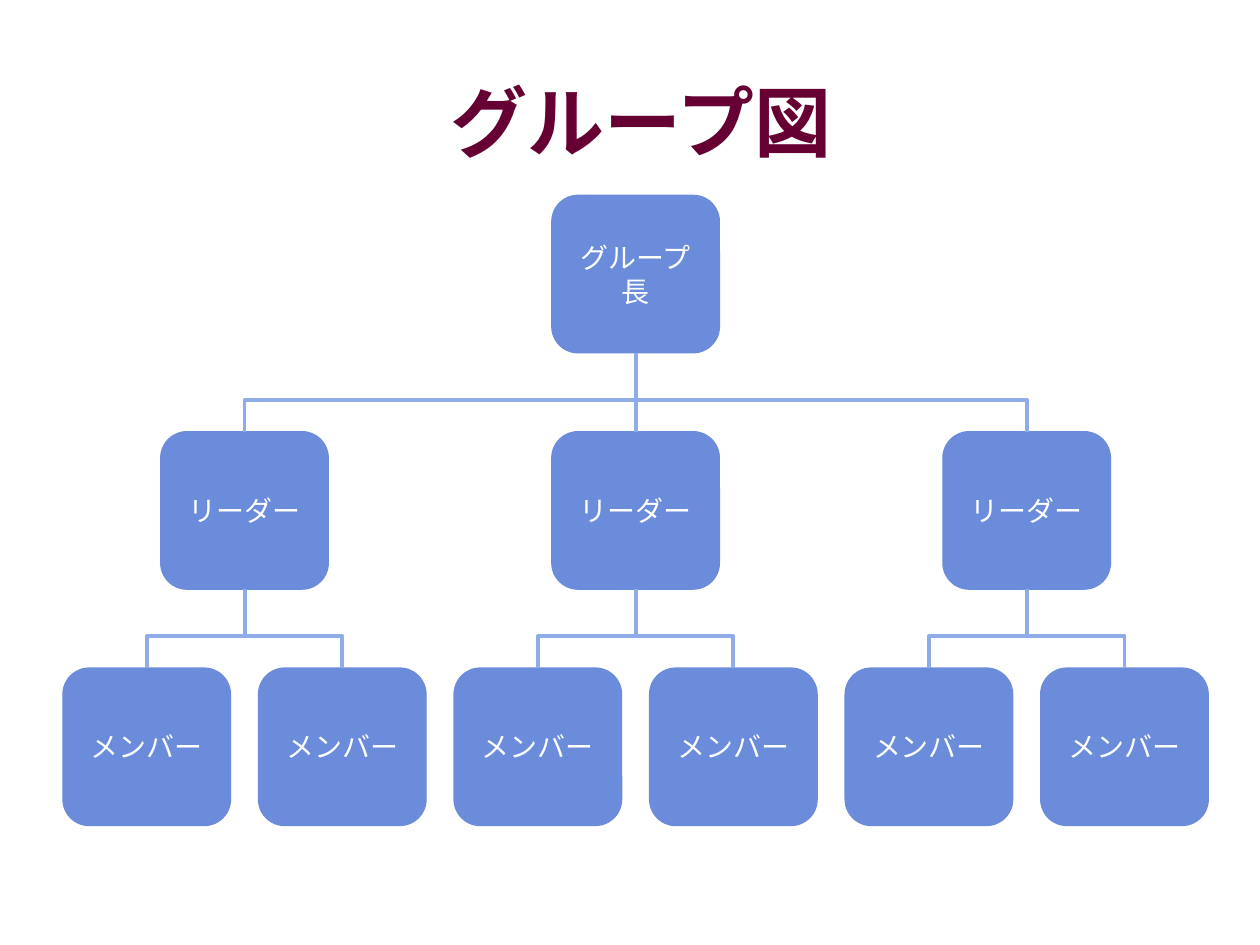
from lxml.etree import SubElement
from pptx import Presentation
from pptx.dml.color import RGBColor
from pptx.enum.shapes import MSO_CONNECTOR as CONN, MSO_SHAPE as SHAPE
from pptx.enum.text import MSO_ANCHOR as ANCHOR, PP_ALIGN as ALIGN
from pptx.oxml.ns import qn
from pptx.util import Inches, Pt

WINE = RGBColor(0x66, 0x00, 0x33)
BLUE = RGBColor(0x6B, 0x8B, 0xDB)
LIGHT_BLUE = RGBColor(0x8F, 0xAC, 0xE8)
WHITE = RGBColor(0xFF, 0xFF, 0xFF)

# Grid: six member columns, three rows
LEFT, TOP = 0.5, 1.55
COL, ROW = 1.552, 1.876
BOX_W, BOX_H = 1.33, 1.25
BEND = 0.4  # share of the gap below the bend


def write(shape, text, size, color, bold=False):
    tf = shape.text_frame
    tf.word_wrap = True
    tf.vertical_anchor = ANCHOR.MIDDLE
    p = tf.paragraphs[0]
    p.alignment = ALIGN.CENTER
    r = p.add_run()
    r.text = text
    for name, value in {"name": "Arial", "size": Pt(size), "bold": bold}.items():
        setattr(r.font, name, value)
    r.font.color.rgb = color


def join(s, child, parent):
    """Draw an elbow from a child's top up to its parent's bottom."""
    x1, y1 = child[0] * COL + LEFT + BOX_W / 2, child[1] * ROW + TOP
    x2, y2 = parent[0] * COL + LEFT + BOX_W / 2, parent[1] * ROW + TOP + BOX_H
    if x1 == x2:
        c = s.shapes.add_connector(CONN.STRAIGHT, *map(Inches, (x1, y1, x2, y2)))
    else:
        # The elbow lies on its side and is turned about its centre
        cx, cy = (x1 + x2) / 2, (y1 + y2) / 2
        w, h = (y1 - y2) / 2, abs(x2 - x1) / 2
        side, turn = (1, 90) if x1 < x2 else (-1, 270)
        ends = (cx + side * w, cy + h, cx - side * w, cy - h)
        c = s.shapes.add_connector(CONN.ELBOW, *map(Inches, ends))
        sp_pr = c._element.spPr
        sp_pr.find(qn("a:xfrm")).set("rot", str(turn * 60000))
        guides = sp_pr.find(qn("a:prstGeom")).get_or_add_avLst()
        SubElement(guides, qn("a:gd"), name="adj1", fmla=f"val {int(BEND * 100000)}")
    c.line.color.rgb = LIGHT_BLUE
    c.line.width = Pt(2.25)
    SubElement(c._element.spPr, qn("a:effectLst"))


prs = Presentation()
prs.slide_width, prs.slide_height = Inches(10), Inches(7.5)
s = prs.slides.add_slide(prs.slide_layouts[5])

# Title
title = s.shapes.title
place = {"left": 0.59, "top": 0.36, "width": 9, "height": 1.19}
for name, value in place.items():
    setattr(title, name, Inches(value))
write(title, "グループ図", 44, WINE, bold=True)

# Organisation: (column, row) of each box, its label and its parent
head = (2.5, 0)
boxes = [(head, "グループ長", None)]
for i in range(3):
    leader = (2 * i + 0.5, 1)
    boxes.append((leader, "リーダー", head))
    boxes += [((2 * i + j, 2), "メンバー", leader) for j in range(2)]

# Boxes and the lines to their parents
for (col, row), label, parent in boxes:
    sp = s.shapes.add_shape(SHAPE.ROUNDED_RECTANGLE, Inches(LEFT + col * COL),
                            Inches(TOP + row * ROW), Inches(BOX_W), Inches(BOX_H))
    sp.shadow.inherit = False
    sp.fill.solid()
    sp.fill.fore_color.rgb = BLUE
    sp.line.color.rgb = BLUE
    sp.line.width = Pt(0.75)
    write(sp, label, 16, WHITE)
    if parent:
        join(s, (col, row), parent)

prs.save("out.pptx")
